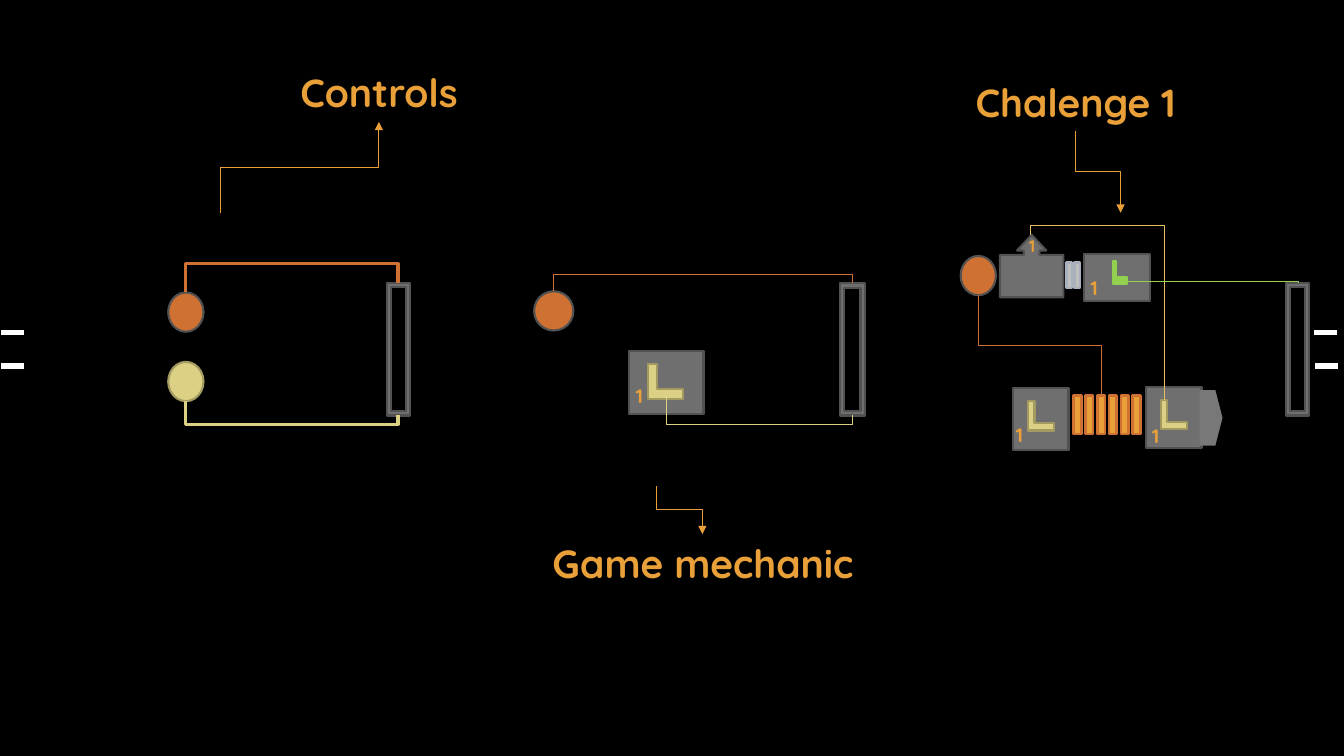
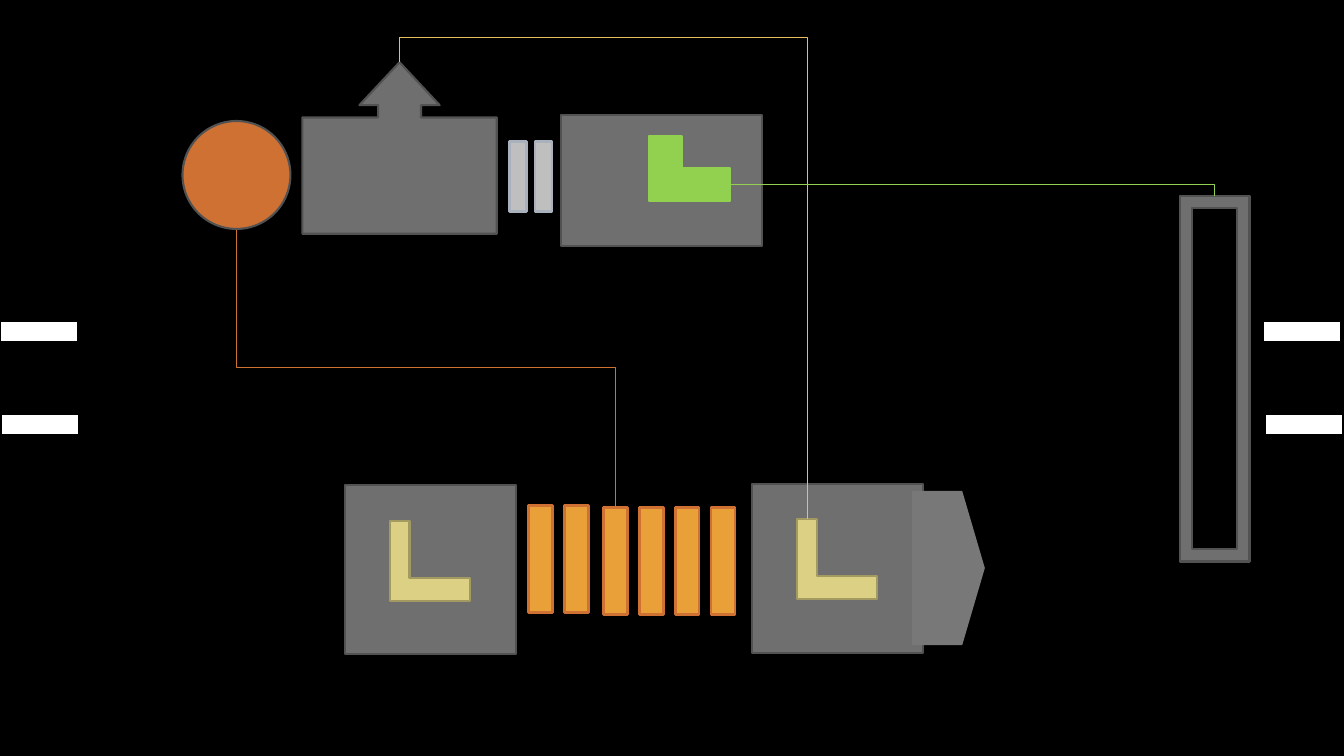
from lxml import etree
from pptx import Presentation
from pptx.dml.color import RGBColor
from pptx.enum.shapes import MSO_CONNECTOR, MSO_SHAPE
from pptx.enum.text import MSO_AUTO_SIZE, PP_ALIGN
from pptx.oxml.ns import qn
from pptx.util import Cm, Pt

ELBOW = MSO_CONNECTOR.ELBOW
RECTANGLE, OVAL, FRAME = MSO_SHAPE.RECTANGLE, MSO_SHAPE.OVAL, MSO_SHAPE.FRAME
CORNER, EQUAL = MSO_SHAPE.CORNER, MSO_SHAPE.MATH_EQUAL
CALLOUT, PENTAGON = MSO_SHAPE.UP_ARROW_CALLOUT, MSO_SHAPE.PENTAGON
CENTER = PP_ALIGN.CENTER
FIT_SHAPE = MSO_AUTO_SIZE.SHAPE_TO_FIT_TEXT

FONT = "Quicksand"
BLACK, WHITE = "000000", "FFFFFF"
GREY, DARK_GREY, PLATE_GREY = "6F6F6F", "525252", "787878"
COPPER, AMBER, GOLD = "CF7133", "E9A039", "E7BF5F"
SAND, OLIVE, GREEN = "DCD084", "A39A62", "92D050"
SILVER, STEEL = "BFBFBF", "A8B1BC"

PARTS = {
    "band": {"kind": RECTANGLE, "fill": BLACK, "line": BLACK},
    "dash": {"kind": RECTANGLE, "fill": WHITE, "line": BLACK},
    "copper ball": {"kind": OVAL, "fill": COPPER, "line": DARK_GREY},
    "sand ball": {"kind": OVAL, "fill": SAND, "line": OLIVE},
    "gate": {"kind": FRAME, "fill": GREY, "line": DARK_GREY, "adjust": (0.178,)},
    "block": {"kind": RECTANGLE, "fill": GREY, "line": DARK_GREY},
    "corner": {"kind": CORNER, "fill": SAND, "line": OLIVE, "adjust": (0.283, 0.245)},
    "silver spring": {"kind": EQUAL, "fill": SILVER, "line": STEEL, "weight": 2, "rotation": 270},
    "amber spring": {"kind": EQUAL, "fill": AMBER, "line": COPPER, "weight": 2, "rotation": 270},
    "launcher": {"kind": CALLOUT, "fill": GREY, "line": DARK_GREY,
                 "adjust": (0.25, 0.234, 0.25, 0.678)},
    "nose": {"kind": PENTAGON, "fill": PLATE_GREY, "adjust": (0.312,)},
    "slim switch": {"kind": CORNER, "fill": GREEN, "line": GREEN, "adjust": (0.5, 0.226)},
    "wide switch": {"kind": CORNER, "fill": GREEN, "line": GREEN},
}

OVERVIEW_PARTS = {
    "band": [(left, top, width, height)
             for left, width, height, tops in ((0, 11.07, 1.78, (5.36, 10.46)),
                                               (10.41, 12.24, 1.78, (5.36, 10.46)),
                                               (22.71, 11.05, 0.94, (5.36, 11.3)))
             for top in tops],
    "dash": [(0, 8.28, 0.63, 0.2), (0, 9.12, 0.63, 0.2),
             (33.1, 8.28, 0.63, 0.2), (33.12, 9.12, 0.63, 0.2)],
    "copper ball": [(4.24, 7.37, 0.89, 0.99), (13.46, 7.34, 0.99, 0.99),
                    (24.21, 6.45, 0.89, 0.99)],
    "sand ball": [(4.24, 9.12, 0.89, 0.99)],
    "gate": [(9.75, 7.14, 0.58, 3.33), (21.16, 7.14, 0.64, 3.33), (32.41, 7.14, 0.58, 3.33)],
    "block": [(15.85, 8.84, 1.88, 1.6), (27.33, 6.4, 1.65, 1.19),
              (25.53, 9.78, 1.4, 1.55), (28.88, 9.75, 1.4, 1.55)],
    "corner": [(16.33, 9.17, 0.89, 0.89), (25.91, 10.11, 0.66, 0.74),
               (29.26, 10.08, 0.66, 0.74)],
    "silver spring": [(26.62, 6.65, 0.86, 0.58)],
    "amber spring": [(26.64 + 0.6 * step, 10.03, 1.32, 0.84) for step in range(3)],
    "launcher": [(25.2, 5.92, 1.6, 1.57)],
    "nose": [(30.23, 9.83, 0.58, 1.4)],
    "slim switch": [(28.04, 6.58, 0.36, 0.58)],
}
OVERVIEW_WIRES = [
    (COPPER, (4.67, 7.37), (10.03, 7.14), 6.65, 2.25),
    (SAND, (4.67, 10.1), (10.03, 10.46), 10.69, 2.25),
    (COPPER, (13.94, 7.34), (21.49, 7.14), 6.91),
    (SAND, (16.79, 10.03), (21.49, 10.46), 10.69),
    (COPPER, (24.66, 7.44), (27.76, 9.98), 8.71),
    (GOLD, (25.98, 5.92), (29.34, 10.08), 5.69),
    (GREEN, (28.4, 7.09), (32.72, 7.14)),
]
CAPTIONS = [
    ("Controls", 7.32, 1.6, 4.47),
    ("Game mechanic", 13.31, 13.46, 8.81),
    ("Chalenge 1", 24.03, 1.85, 6.15),
]
CAPTION_ARROWS = [
    ((5.56, 5.36), (9.55, 3.07), 4.22),
    ((16.54, 12.24), (17.7, 13.46), 12.85),
    ((27.1, 3.3), (28.24, 5.36), 4.32),
]
COUNTERS = [(15.72, 9.55), (25.3, 10.54), (28.73, 10.57), (27.18, 6.83)]

CHALLENGE_PARTS = {
    "band": [(0.03, 0, 33.83, 2.57), (0, 16.48, 33.83, 2.57)],
    "dash": [(0, 8.08, 1.96, 0.53), (0.03, 10.44, 1.96, 0.53),
             (31.83, 8.08, 1.96, 0.53), (31.88, 10.44, 1.96, 0.53)],
    "copper ball": [(4.6, 3.05, 2.72, 2.72)],
    "gate": [(29.74, 4.93, 1.75, 9.22)],
    "block": [(14.15, 2.9, 5.05, 3.3), (8.69, 12.22, 4.32, 4.27), (18.95, 12.19, 4.32, 4.27)],
    "corner": [(9.83, 13.13, 2.01, 2.01), (20.09, 13.08, 2.01, 2.01)],
    "silver spring": [(12.17, 3.53, 2.41, 1.83)],
    "amber spring": [(12.24, 12.8, 3.68, 2.57), (14.12, 12.85, 3.68, 2.57),
                     (15.93, 12.85, 3.68, 2.57)],
    "launcher": [(7.62, 1.57, 4.9, 4.32)],
    "nose": [(22.99, 12.37, 1.83, 3.89)],
    "wide switch": [(16.36, 3.43, 2.03, 1.63)],
}
CHALLENGE_WIRES = [
    (COPPER, (5.97, 5.79), (15.52, 12.78), 9.27),
    (GOLD, (10.06, 1.57), (20.35, 13.08), 0.94),
    (GREEN, (18.39, 4.65), (30.61, 4.93)),
]


def paint(target, colour):
    """Give a fill one solid colour from a hex string."""
    target.solid()
    target.fore_color.rgb = RGBColor.from_string(colour)


def add_part(slide, name, place):
    """Draw one game part in its shared style."""
    style = PARTS[name]
    shape = slide.shapes.add_shape(style["kind"], *map(Cm, place))
    shape.shadow.inherit = False
    shape.rotation = style.get("rotation", 0)
    paint(shape.fill, style["fill"])
    if "line" in style:
        paint(shape.line.fill, style["line"])
        shape.line.width = Pt(style.get("weight", 1.5))
    else:
        shape.line.fill.background()
    for index, value in enumerate(style.get("adjust", ())):
        shape.adjustments[index] = value


def add_wire(slide, colour, start, end, bend=None, weight=0.75, arrow=False):
    """Draw a wire that runs along the height bend, or right and then down."""
    (x1, y1), (x2, y2) = start, end
    width, height = x2 - x1, abs(y2 - y1)
    left, top = x1, min(y1, y2)
    if bend is not None:
        left, top = left + (width - height) / 2, top + (height - width) / 2
        width, height = height, width
    wire = slide.shapes.add_connector(
        ELBOW, Cm(left), Cm(top), Cm(left + width), Cm(top + height))
    paint(wire.line.fill, colour)
    wire.line.width = Pt(weight)
    properties = wire._element.spPr
    geometry = properties.find(qn("a:prstGeom"))
    if bend is None:
        geometry.set("prst", "bentConnector2")
    else:
        turn = {"rot": "16200000", "flipH": "1"}
        if y2 < y1:
            turn = {"rot": "5400000", "flipH": "1", "flipV": "1"}
        for key, value in turn.items():
            properties.find(qn("a:xfrm")).set(key, value)
        ratio = round((bend - y1) / (y2 - y1) * 100000)
        guides = geometry.find(qn("a:avLst"))
        etree.SubElement(guides, qn("a:gd"), name="adj1", fmla=f"val {ratio}")
    if arrow:
        etree.SubElement(properties.find(qn("a:ln")), qn("a:tailEnd"), type="triangle")
    etree.SubElement(properties, qn("a:effectLst"))


def add_label(slide, text, place, size):
    """Write a bold amber label with a thin black outline."""
    box = slide.shapes.add_textbox(*map(Cm, place))
    frame = box.text_frame
    frame.word_wrap = False
    frame.auto_size = FIT_SHAPE
    para = frame.paragraphs[0]
    para.alignment = CENTER
    span = para.add_run()
    span.text = text
    for key, value in {"name": FONT, "size": Pt(size), "bold": True}.items():
        setattr(span.font, key, value)
    paint(span.font.fill, AMBER)
    outline = etree.Element(qn("a:ln"), w=str(Pt(0.75)))
    solid = etree.SubElement(outline, qn("a:solidFill"))
    etree.SubElement(solid, qn("a:srgbClr"), val=BLACK)
    span._r.get_or_add_rPr().insert(0, outline)


def add_scene(deck, parts, wires):
    """Add a slide with its game parts and the wires over them."""
    slide = deck.slides.add_slide(deck.slide_layouts.get_by_name("Blank"))
    for name, places in parts.items():
        for place in places:
            add_part(slide, name, place)
    for wire in wires:
        add_wire(slide, *wire)
    return slide


def main():
    """Build the overview and the enlarged challenge."""
    deck = Presentation()
    deck.slide_width, deck.slide_height = Cm(33.87), Cm(19.05)
    paint(deck.slide_master.background.fill, BLACK)

    overview = add_scene(deck, OVERVIEW_PARTS, OVERVIEW_WIRES)
    for text, left, top, width in CAPTIONS:
        add_label(overview, text, (left, top, width, 1.45), 28)
    for start, end, bend in CAPTION_ARROWS:
        add_wire(overview, AMBER, start, end, bend, arrow=True)
    for left, top in COUNTERS:
        add_label(overview, "1", (left, top, 0.79, 0.86), 14)
    add_label(overview, "1", (25.63, 5.82, 0.76, 0.76), 12)

    add_scene(deck, CHALLENGE_PARTS, CHALLENGE_WIRES)
    deck.save("out.pptx")


if __name__ == "__main__":
    main()
